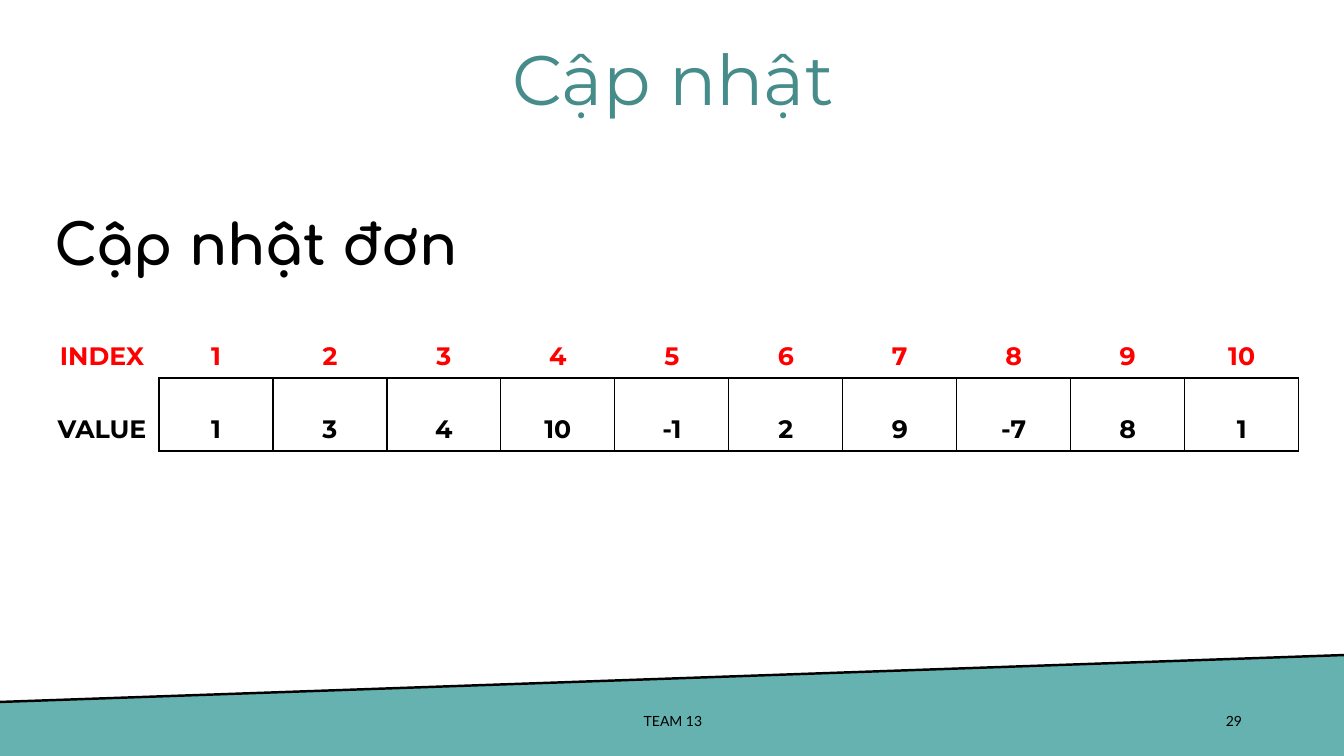
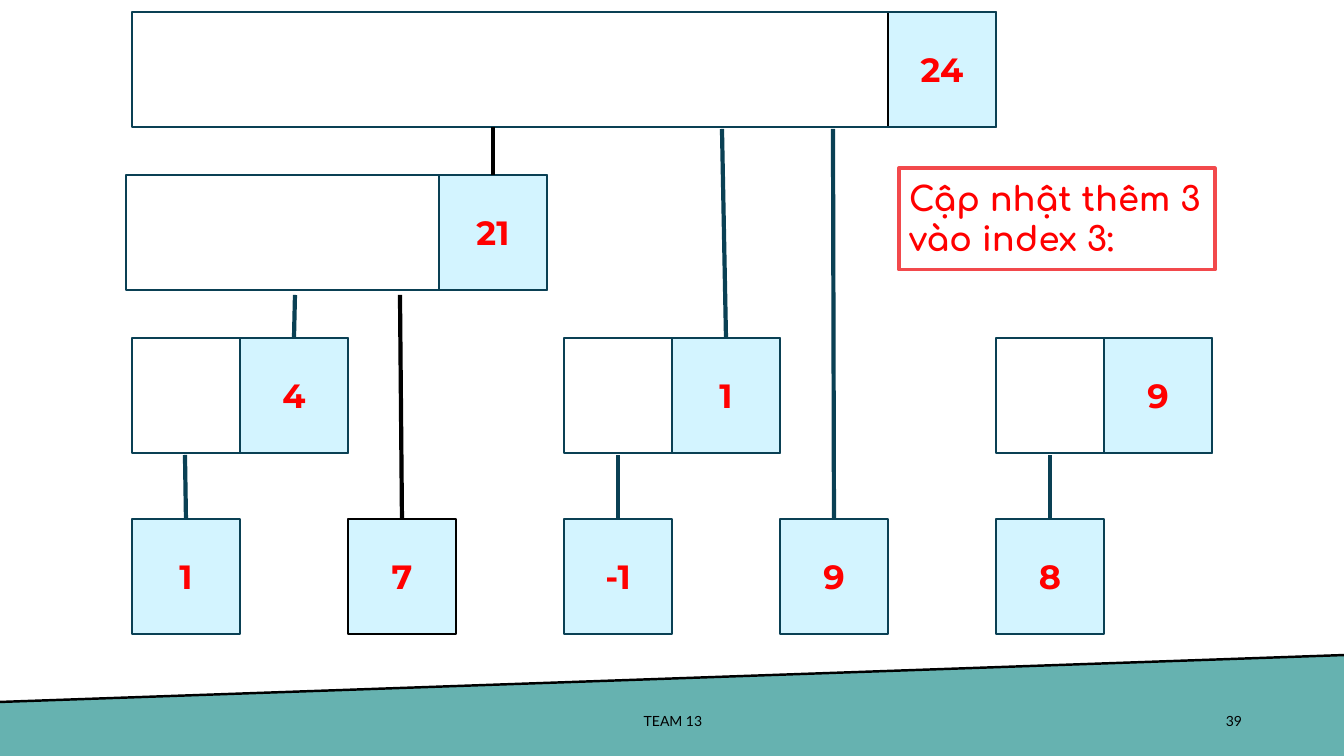
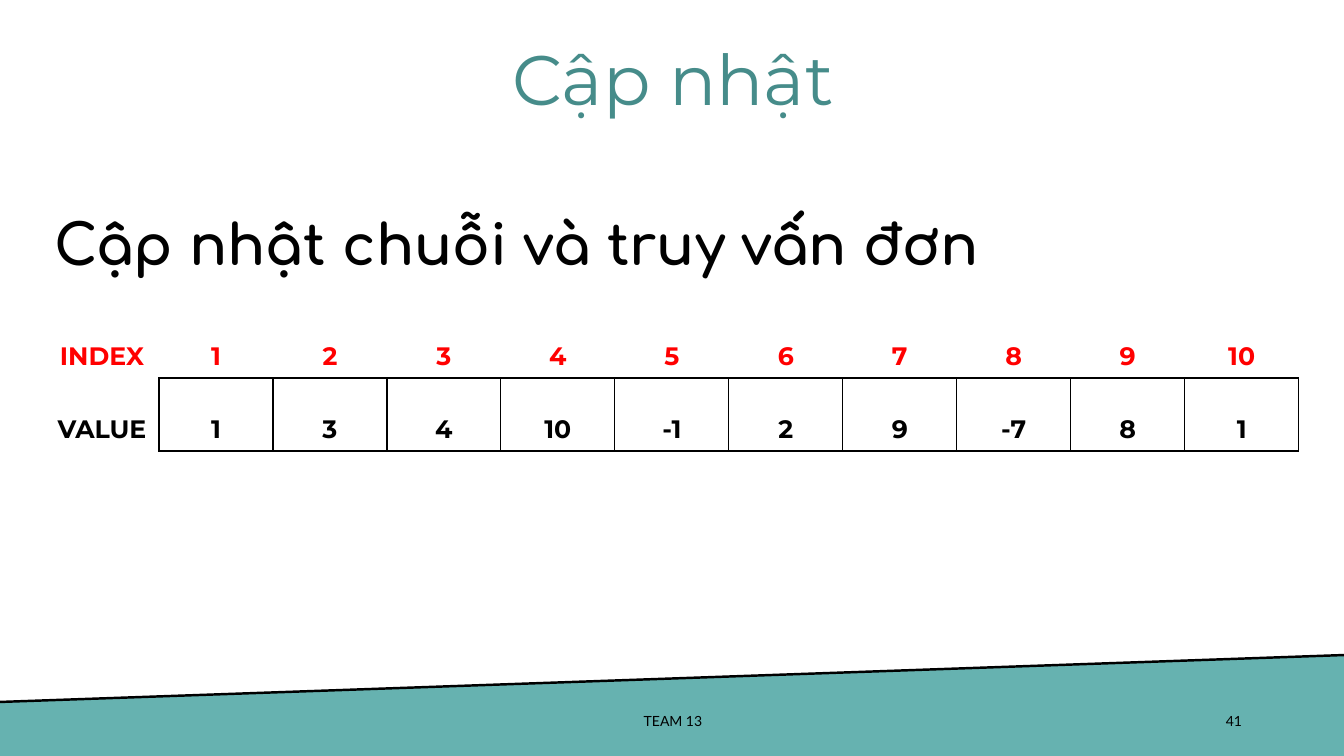
import pptx
import pptx.dml.color
import pptx.enum.shapes
import pptx.enum.text
import pptx.oxml.ns
import pptx.util
from lxml import etree

TEAL, TITLE, NAVY = "66B2B0", "468C8A", "0A4054"
PALE, RED, CORAL, BLACK = "D3F4FF", "FF0000", "F2494C", "000000"

rgb = pptx.dml.color.RGBColor.from_string
qn = pptx.oxml.ns.qn
Pt = pptx.util.Pt
RECT = pptx.enum.shapes.MSO_SHAPE.RECTANGLE
STRAIGHT = pptx.enum.shapes.MSO_CONNECTOR.STRAIGHT
ALIGN = pptx.enum.text.PP_ALIGN
ANCHOR = pptx.enum.text.MSO_ANCHOR


def px(n):
    return round(n * 12192000 / 1344)


def put_text(tf, text, font, size, color, bold=False, align=ALIGN.CENTER,
             anchor=ANCHOR.MIDDLE, spacing=1.0):
    tf.text = text
    tf.word_wrap = True
    tf.vertical_anchor = anchor
    p = tf.paragraphs[0]
    p.alignment = align
    p.line_spacing = spacing
    r = p.runs[0]
    r.font.name, r.font.size, r.font.bold = font, Pt(size), bold
    r.font.color.rgb = rgb(color)


prs = pptx.Presentation()
prs.slide_width, prs.slide_height = px(1344), px(756)

# Slanted band and footer, shared by all slides
for number in (29, 39, 41):
    s = prs.slides.add_slide(prs.slide_layouts[6])
    outline = s.shapes.build_freeform(-1, 702, scale=px(100) / 100)
    outline.add_line_segments([(1346, 655), (1346, 756), (0, 759)], close=True)
    band = outline.convert_to_shape()
    band.fill.solid()
    band.fill.fore_color.rgb = rgb(TEAL)
    band.line.fill.background()
    edge = s.shapes.add_connector(STRAIGHT, px(1346), px(655), px(-1), px(702))
    edge.line.color.rgb = rgb(BLACK)
    edge.line.width = Pt(1.75)
    for left, width, text, align in ((950, 302, str(number), ALIGN.RIGHT),
                                     (446, 454, "TEAM 13", ALIGN.CENTER)):
        sp = s.shapes.add_textbox(px(left), px(701), px(width), px(40))
        put_text(sp.text_frame, text, "Lato", 10, BLACK, align=align)

single, tree, ranged = prs.slides

# Array slides: title, heading and index/value table
ROWS = (("INDEX", *range(1, 11)),
        ("VALUE", 1, 3, 4, 10, -1, 2, 9, -7, 8, 1))
for s, heading, width in ((single, "Cập nhật đơn", 556),
                          (ranged, "Cập nhật chuỗi và truy vấn đơn", 1057)):
    sp = s.shapes.add_textbox(px(192), px(31), px(962), px(104))
    put_text(sp.text_frame, "Cập nhật", "Montserrat", 50, TITLE, spacing=0.9)
    sp = s.shapes.add_textbox(px(45), px(171), px(width), px(73))
    put_text(sp.text_frame, heading, "Comfortaa", 40, BLACK, True,
             ALIGN.LEFT, ANCHOR.TOP, 1.5)

    table = s.shapes.add_table(2, 11, px(45), px(305), px(1254), px(146)).table
    table.first_row = table.horz_banding = False
    for column in table.columns:
        column.width = px(114)
    for i, values in enumerate(ROWS):
        table.rows[i].height = px(73)
        for j, value in enumerate(values):
            cell = table.cell(i, j)
            put_text(cell.text_frame, str(value), "Montserrat", 18,
                     BLACK if i else RED, True, spacing=2.0)
            cell.vertical_anchor = ANCHOR.MIDDLE
            if i:
                cell.margin_top = cell.margin_bottom = 0
            # Only the value boxes are ruled; neighbours share their edges
            ruled = ("LRTB" if j else "R") if i else ("B" if j else "")
            tcPr = cell._tc.get_or_add_tcPr()
            for side in "LRTB":
                ln = etree.SubElement(tcPr, qn("a:ln" + side), w=str(Pt(1)))
                if side in ruled:
                    fill = etree.SubElement(ln, qn("a:solidFill"))
                    etree.SubElement(fill, qn("a:srgbClr"), val=BLACK)
                else:
                    etree.SubElement(ln, qn("a:noFill"))
            cell.fill.background()

# Tree nodes: left, top, width, value, box line, link end, link colour
BOX_W, BOX_H = 108, 115
NODES = (
    (132, 12, 864, "24", BLACK, None, None),
    (126, 175, 421, "21", NAVY, (493, 127), BLACK),
    (132, 338, 216, "4", NAVY, (295, 295), NAVY),
    (564, 338, 216, "1", NAVY, (722, 129), NAVY),
    (996, 338, 216, "9", NAVY, None, None),
    (132, 519, BOX_W, "1", NAVY, (185, 455), NAVY),
    (348, 519, BOX_W, "7", BLACK, (400, 295), BLACK),
    (564, 519, BOX_W, "-1", NAVY, (618, 455), NAVY),
    (780, 519, BOX_W, "9", NAVY, (833, 129), NAVY),
    (996, 519, BOX_W, "8", NAVY, (1050, 455), NAVY),
)
for left, top, width, value, line, link_end, link_color in NODES:
    box_left = left + width - BOX_W
    box = tree.shapes.add_shape(RECT, px(box_left), px(top), px(BOX_W), px(BOX_H))
    box.fill.solid()
    box.fill.fore_color.rgb = rgb(PALE)
    box.line.color.rgb = rgb(line)
    box.line.width = Pt(1.5)
    put_text(box.text_frame, value, "Montserrat", 24, RED, True)
    if width > BOX_W:
        frame = tree.shapes.add_shape(RECT, px(left), px(top), px(width), px(BOX_H))
        frame.fill.background()
        frame.line.color.rgb = rgb(NAVY)
        frame.line.width = Pt(1.5)
    if link_end:
        x, y = link_end
        link = tree.shapes.add_connector(STRAIGHT, px(box_left + BOX_W // 2),
                                         px(top), px(x), px(y))
        link.begin_connect(box, 0)
        link.line.color.rgb = rgb(link_color)
        link.line.width = Pt(3)

# Note on the update
note = tree.shapes.add_shape(RECT, px(899), px(168), px(316), px(102))
note.fill.background()
note.line.color.rgb = rgb(CORAL)
note.line.width = Pt(2.25)
tf = note.text_frame
put_text(tf, "Cập nhật thêm 3 vào index 3:", "Comfortaa", 24, RED, True,
         ALIGN.LEFT, ANCHOR.TOP)
tf.margin_top = tf.margin_bottom = px(10)
tf.auto_size = pptx.enum.text.MSO_AUTO_SIZE.SHAPE_TO_FIT_TEXT

# No shadows anywhere
for s in prs.slides:
    for sp in s.shapes:
        if sp.shape_type == pptx.enum.shapes.MSO_SHAPE_TYPE.LINE:
            etree.SubElement(sp._element.spPr, qn("a:effectLst"))
        elif sp.has_text_frame:
            sp.shadow.inherit = False

prs.save("out.pptx")
